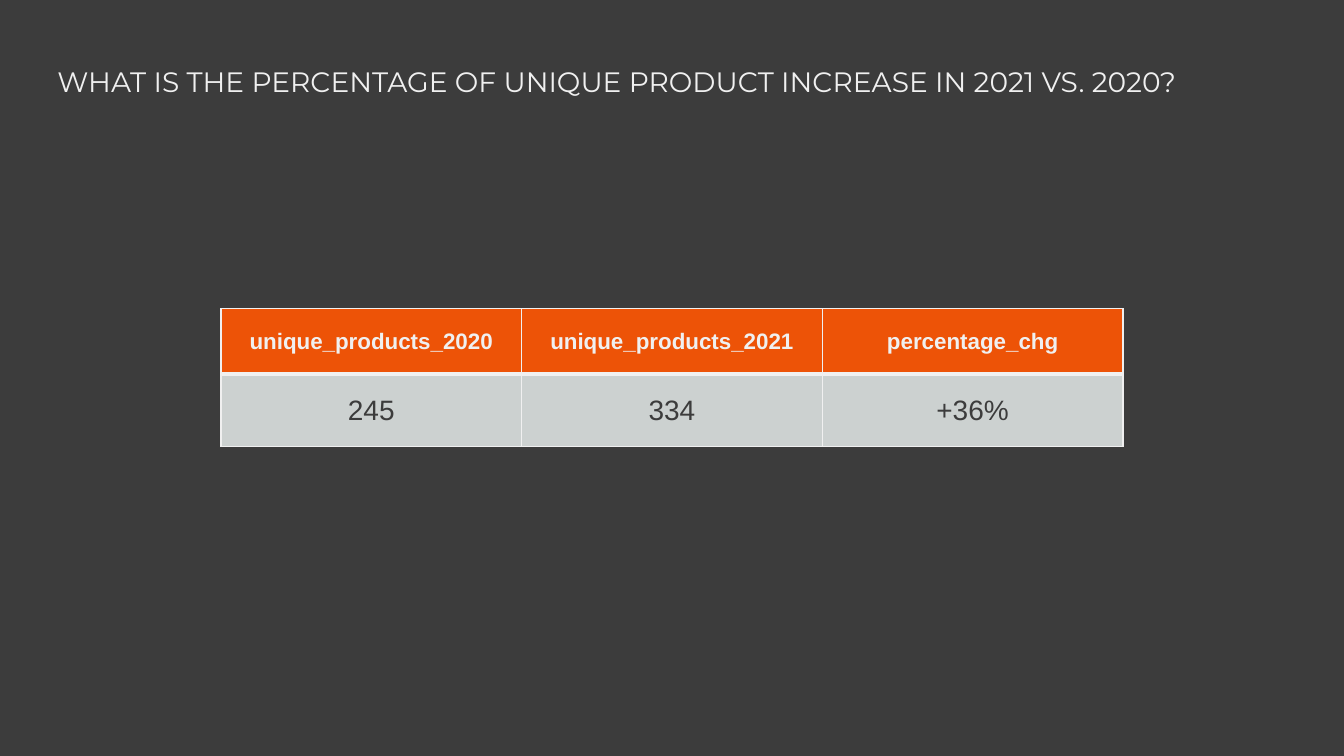
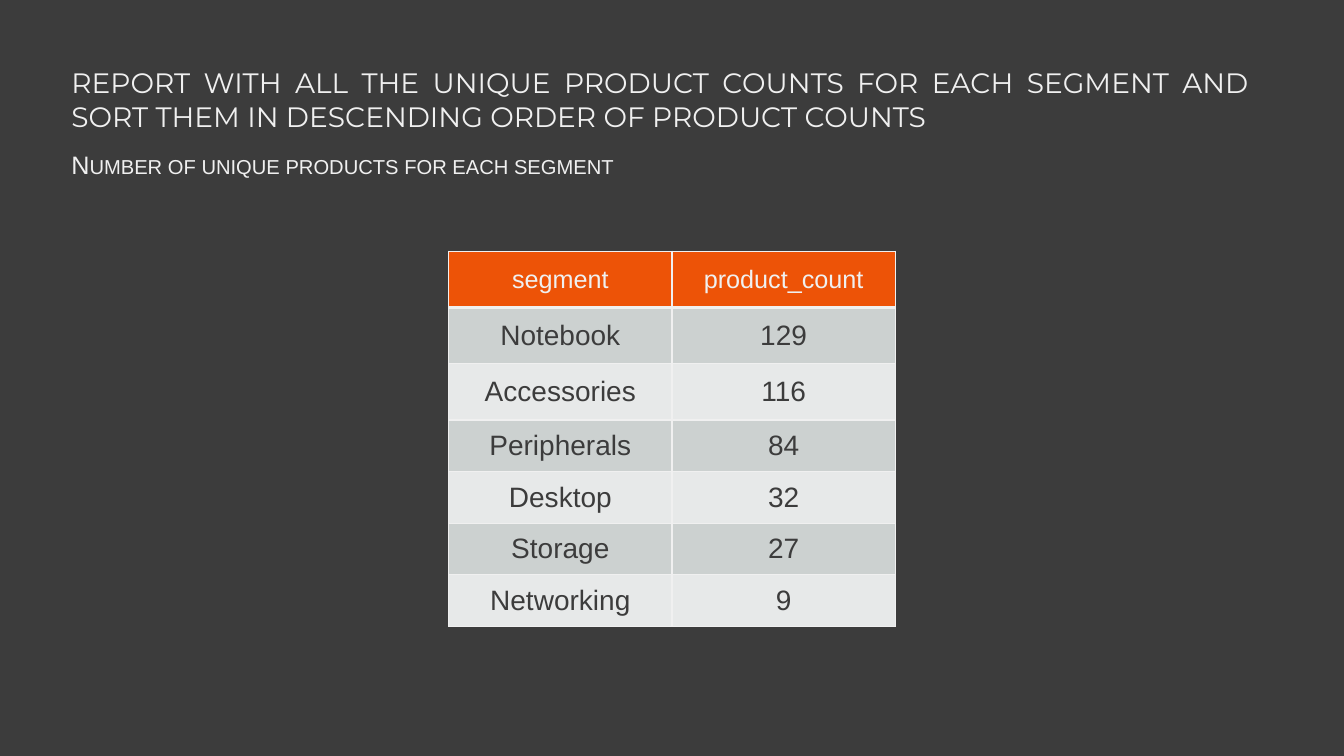
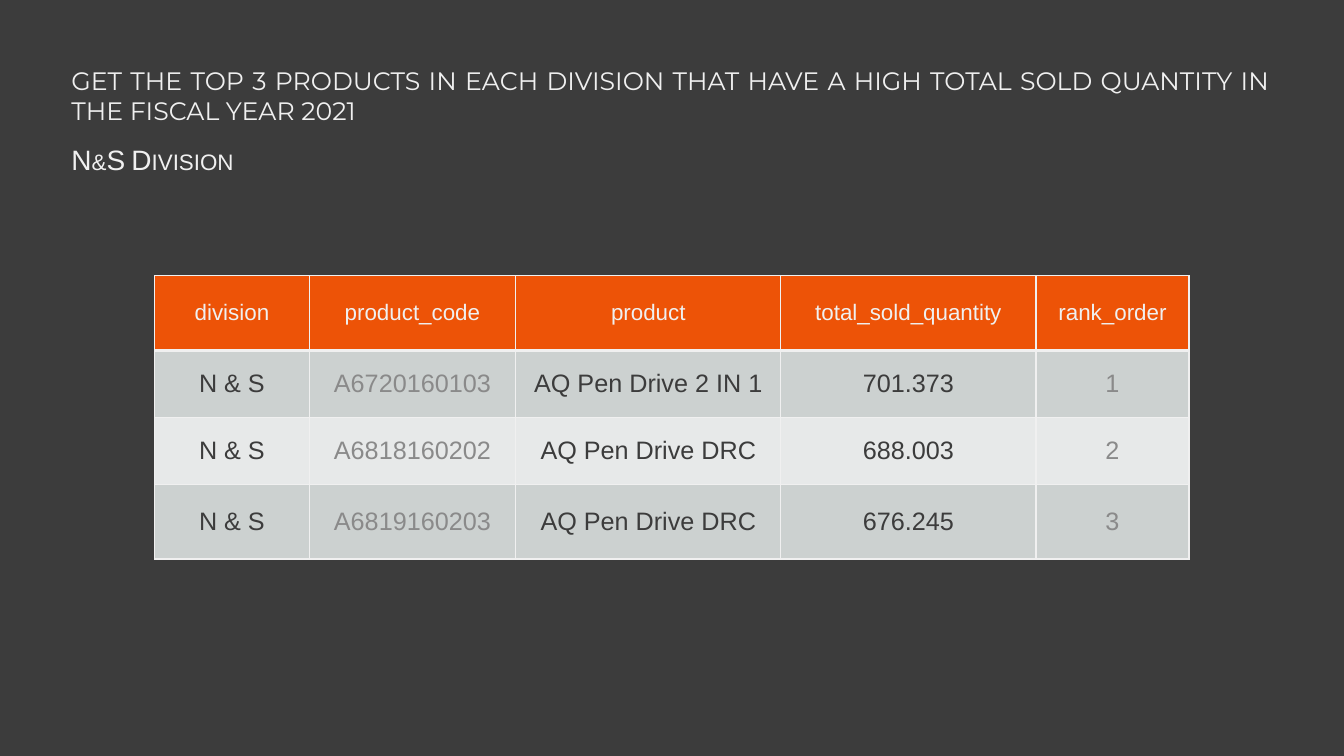
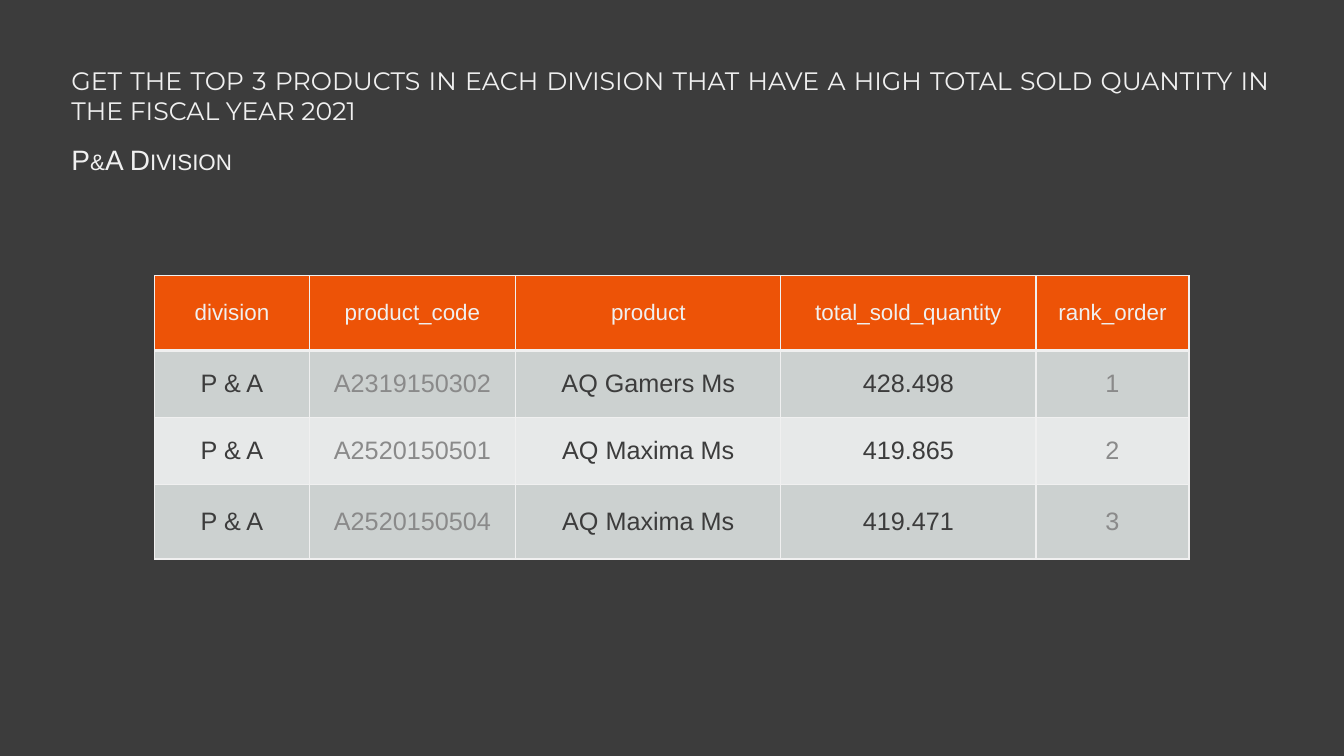
from lxml import etree
from pptx import Presentation
from pptx.dml.color import RGBColor
from pptx.enum.text import MSO_ANCHOR as Anchor, MSO_AUTO_SIZE as AutoSize, PP_ALIGN as Align
from pptx.oxml.ns import qn
from pptx.util import Pt

# Shared look
DARK = RGBColor(0x3C, 0x3C, 0x3C)
LIGHT = RGBColor(0xF0, 0xF0, 0xF0)
ORANGE = RGBColor(0xED, 0x53, 0x07)
MUTED = RGBColor(0x8A, 0x8A, 0x8A)
BANDS = (RGBColor(0xCC, 0xD1, 0xD0), RGBColor(0xE7, 0xE9, 0xE9))
TITLE_FONT, BODY_FONT = "Montserrat", "Arial"
SLIDE_WIDTH, SLIDE_HEIGHT = 960, 540
TEXT_LEFT = 43.9

# Tables of the two division slides
DIVISION_TITLE = ("GET THE TOP 3 PRODUCTS IN EACH DIVISION THAT HAVE A HIGH TOTAL SOLD "
                  "QUANTITY IN THE FISCAL YEAR 2021")
DIVISION_HEADER = ("division", "product_code", "product", "total_sold_quantity", "rank_order")
DIVISION_WIDTHS = (110.2, 147.6, 189.4, 182.2, 109.4)
DIVISION_HEIGHTS = (53.3, 48, 47.7, 53.3)
DIVISIONS = (
    ("N&S Division", "N & S", (
        ("A6720160103", "AQ Pen Drive 2 IN 1", "701.373"),
        ("A6818160202", "AQ Pen Drive DRC", "688.003"),
        ("A6819160203", "AQ Pen Drive DRC", "676.245"))),
    ("P&A Division", "P & A", (
        ("A2319150302", "AQ Gamers Ms", "428.498"),
        ("A2520150501", "AQ Maxima Ms", "419.865"),
        ("A2520150504", "AQ Maxima Ms", "419.471"))),
)


def style_font(font, name, size, color, bold=False):
    font.name, font.size, font.bold = name, Pt(size), bold
    font.color.rgb = color


def add_text(page, text, left, top, width, height, name, size):
    """Add a wrapped text box and return its paragraph."""
    box = page.shapes.add_textbox(Pt(left), Pt(top), Pt(width), Pt(height))
    frame = box.text_frame
    frame.text = text
    frame.word_wrap = True
    frame.auto_size = AutoSize.SHAPE_TO_FIT_TEXT
    para = frame.paragraphs[0]
    style_font(para.runs[0].font, name, size, LIGHT)
    return para


def add_title(page, text, top, width, height, size, left=TEXT_LEFT, align=Align.JUSTIFY):
    para = add_text(page, text, left, top, width, height, TITLE_FONT, size)
    para.alignment = align


def add_subtitle(page, text, top, width, height, size):
    para = add_text(page, text, TEXT_LEFT, top, width, height, BODY_FONT, size)
    para.line_spacing = 1.2
    para.runs[0].font._element.set("cap", "small")


def set_borders(cell, bottom):
    """Draw light cell borders; only the bottom width varies."""
    properties = cell._tc.get_or_add_tcPr()
    for side, width in (("L", 1), ("R", 1), ("T", 1), ("B", bottom)):
        line = etree.SubElement(properties, qn(f"a:ln{side}"), w=str(Pt(width)))
        fill = etree.SubElement(line, qn("a:solidFill"))
        etree.SubElement(fill, qn("a:srgbClr"), val=str(LIGHT))


def fill_cell(cell, text, fill, size, color, bold=False, bottom=1):
    set_borders(cell, bottom)
    cell.fill.solid()
    cell.fill.fore_color.rgb = fill
    cell.vertical_anchor = Anchor.MIDDLE
    cell.text_frame.text = text
    para = cell.text_frame.paragraphs[0]
    para.alignment = Align.CENTER
    style_font(para.runs[0].font, BODY_FONT, size, color, bold)


def add_data_table(page, rows, top, widths, heights, header_size, body_size,
                   header_bold=False, muted=()):
    """Add a horizontally centred table with a header and banded rows."""
    left = (SLIDE_WIDTH - sum(widths)) / 2
    table = page.shapes.add_table(len(rows), len(widths), Pt(left), Pt(top),
                                  Pt(sum(widths)), Pt(sum(heights))).table
    table.first_row = table.horz_banding = False
    for column, width in zip(table.columns, widths):
        column.width = Pt(width)
    for row, height in zip(table.rows, heights):
        row.height = Pt(height)
    for column, text in enumerate(rows[0]):
        fill_cell(table.cell(0, column), text, ORANGE, header_size, LIGHT, header_bold, bottom=3)
    for index, row in enumerate(rows[1:]):
        for column, text in enumerate(row):
            color = MUTED if column in muted else DARK
            fill_cell(table.cell(index + 1, column), text, BANDS[index % 2], body_size, color)


def add_page(deck):
    return deck.slides.add_slide(deck.slide_layouts[6])


def build_increase(deck):
    page = add_page(deck)
    rows = (("unique_products_2020", "unique_products_2021", "percentage_chg"),
            ("245", "334", "+36%"))
    add_data_table(page, rows, 220.5, [214.8] * 3, (46.8, 51.8), 16, 20, header_bold=True)
    add_title(page, "WHAT IS THE PERCENTAGE OF UNIQUE PRODUCT INCREASE IN 2021 VS. 2020?",
              42.5, 892, 31.5, 20, left=34, align=Align.LEFT)


def build_segments(deck):
    page = add_page(deck)
    rows = (("segment", "product_count"), ("Notebook", "129"), ("Accessories", "116"),
            ("Peripherals", "84"), ("Desktop", "32"), ("Storage", "27"), ("Networking", "9"))
    add_data_table(page, rows, 179.4, [159.5] * 2, [40.2] * 3 + [36.9] * 4, 18, 20)
    add_title(page, "REPORT WITH ALL THE UNIQUE PRODUCT COUNTS FOR EACH SEGMENT AND SORT THEM "
              "IN DESCENDING ORDER OF PRODUCT COUNTS", 43.2, 855.4, 55.4, 20)
    add_subtitle(page, "Number of unique products for each segment", 98.6, 539.3, 31, 18)


def build_division(deck, subtitle, division, products):
    page = add_page(deck)
    rows = [DIVISION_HEADER]
    for rank, product in enumerate(products, 1):
        rows.append((division, *product, str(rank)))
    add_data_table(page, rows, 197, DIVISION_WIDTHS, DIVISION_HEIGHTS, 16, 18, muted=(1, 4))
    add_title(page, DIVISION_TITLE, 43.2, 869.8, 51.1, 18)
    add_subtitle(page, subtitle, 93.6, 855.4, 33.8, 20)


def main():
    deck = Presentation()
    deck.slide_width, deck.slide_height = Pt(SLIDE_WIDTH), Pt(SLIDE_HEIGHT)
    background = deck.slide_master.background.fill
    background.solid()
    background.fore_color.rgb = DARK

    build_increase(deck)
    build_segments(deck)
    for division in DIVISIONS:
        build_division(deck, *division)
    deck.save("out.pptx")


if __name__ == "__main__":
    main()
